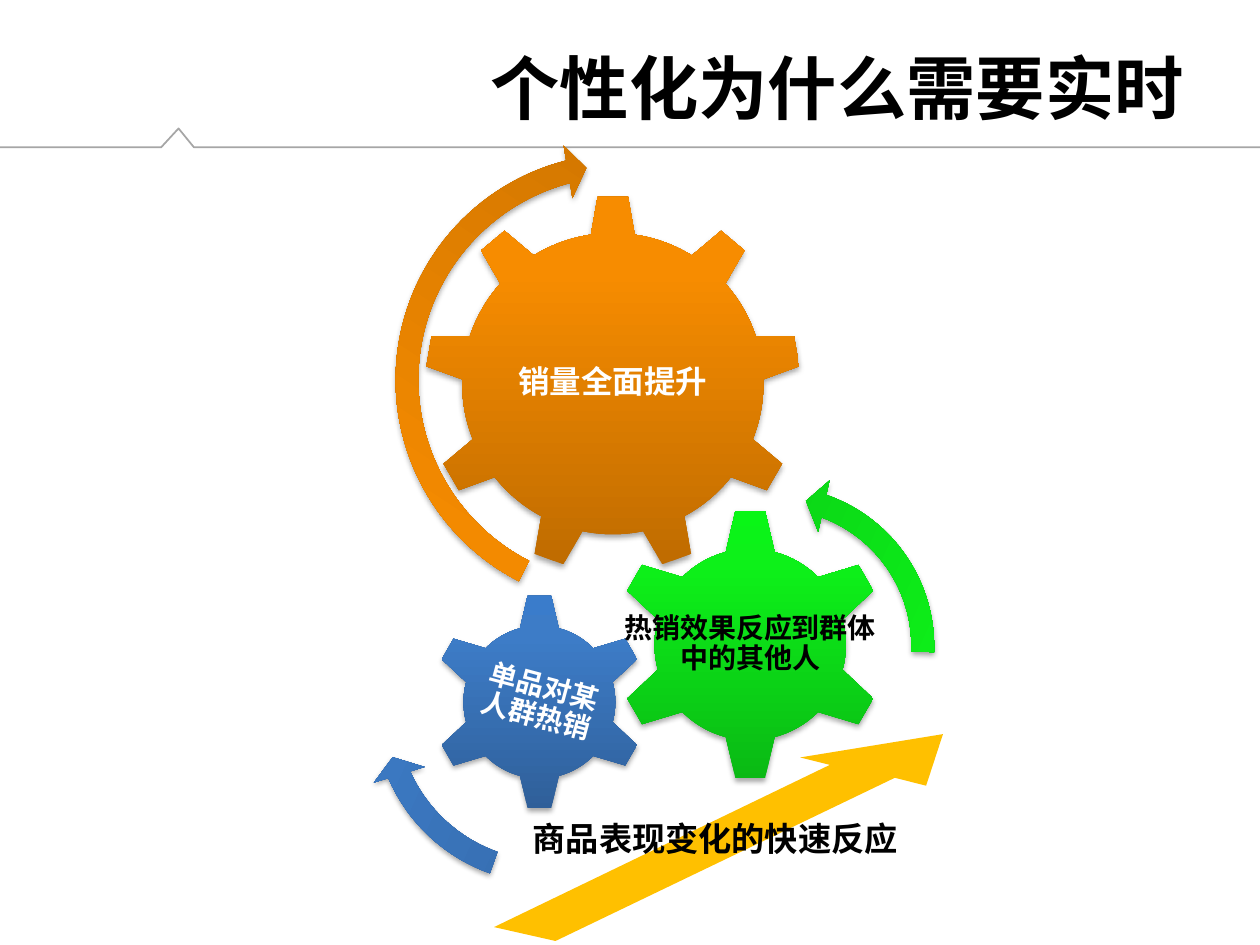
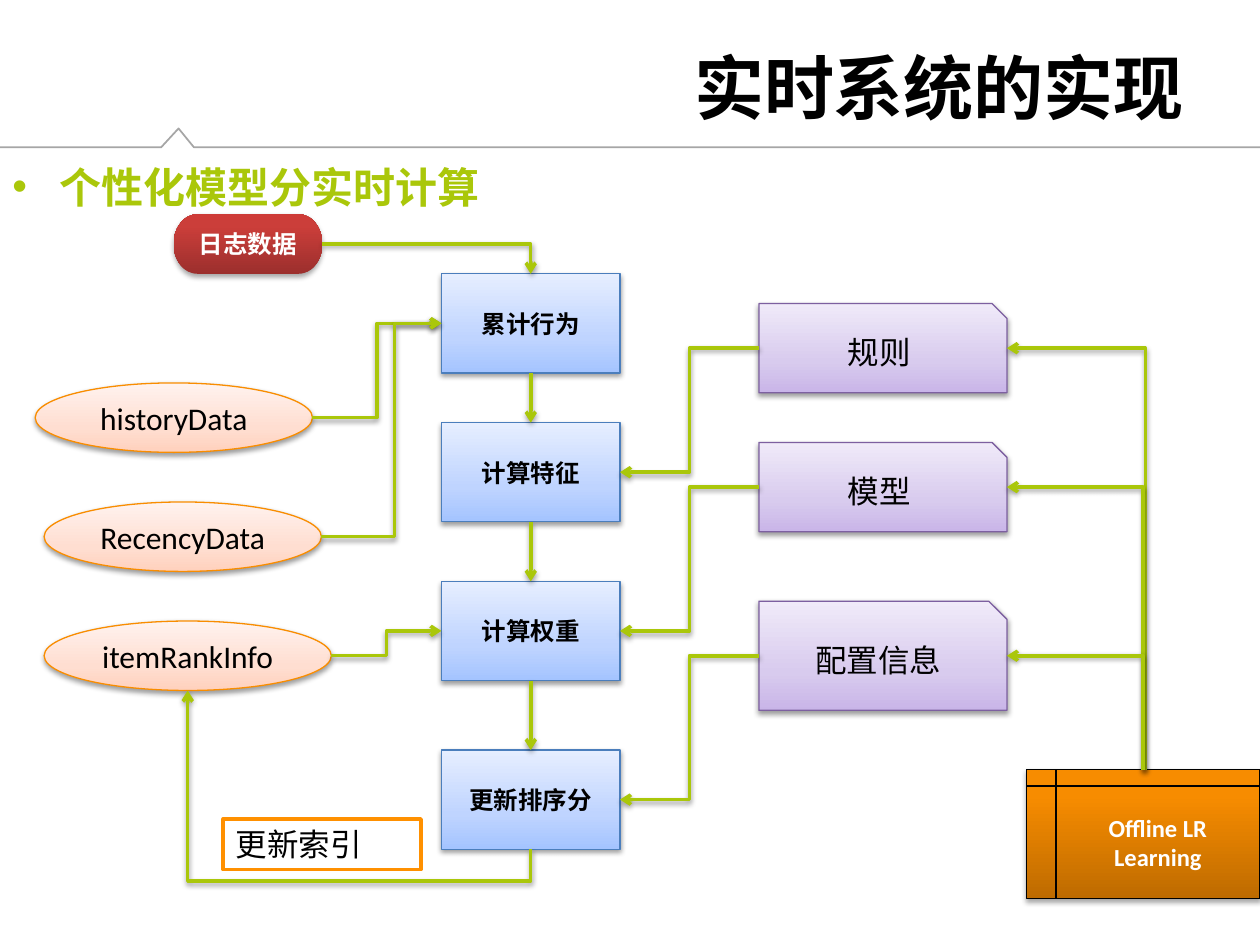
from copy import deepcopy
from dataclasses import dataclass, field
from itertools import pairwise

from lxml import etree
from pptx import Presentation
from pptx import util as u
from pptx.dml.color import RGBColor
from pptx.enum import shapes, text
from pptx.oxml import ns

Kind = shapes.MSO_SHAPE
Align = text.PP_ALIGN


@dataclass(frozen=True)
class Finish:
    stops: tuple[tuple[float, str], ...]
    line: str | None = None
    ink: str = "000000"
    shadow: tuple[int, float] = (38, 1.6)


def vivid(dark: str, middle: str, light: str, line: str | None = None) -> Finish:
    return Finish(((0, dark), (0.8, middle), (1, light)), line, "FFFFFF", (35, 1.8))


def pastel(dark: str, middle: str, light: str, line: str) -> Finish:
    return Finish(((0, dark), (0.35, middle), (1, light)), line)


@dataclass(frozen=True)
class Theme:
    font: str = "Calibri"
    black: str = "000000"
    white: str = "FFFFFF"
    rule: str = "A6A6A6"
    accent: str = "AAC70A"
    frame: str = "FF9000"
    swoosh: str = "FFC000"
    orange: Finish = vivid("BE6B00", "F78C00", "F88C00")
    storage: Finish = vivid("BE6B00", "F78C00", "F88C00", "000000")
    green: Finish = vivid("0AB914", "0DF119", "09F616")
    blue: Finish = vivid("2F5F99", "3D7CC7", "3A7CCB")
    red: Finish = vivid("9C2F2D", "CB3E3A", "CE3B37")
    step: Finish = pastel("A4C4FF", "BFD4FF", "E6EEFF", "4B7EBC")
    data: Finish = pastel("FFD1BD", "FFDED1", "FFF2EE", "F98D00")
    source: Finish = pastel("C9B5E8", "D8CBEE", "F0EAF9", "7D60A0")
    heading: float = 24
    slogan: float = 19
    body: float = 18
    label: float = 16
    small: float = 14


THEME = Theme()


@dataclass(frozen=True)
class Area:
    left: float
    top: float
    width: float
    height: float

    @property
    def right(self) -> float:
        return self.left + self.width

    @property
    def middle(self) -> float:
        return self.top + self.height / 2

    @property
    def center(self) -> float:
        return self.left + self.width / 2

    @property
    def bottom(self) -> float:
        return self.top + self.height

    def lengths(self) -> list[u.Cm]:
        return [u.Cm(side) for side in (self.left, self.top, self.width, self.height)]


@dataclass(frozen=True)
class Figure:
    kind: Kind
    area: Area
    finish: Finish
    caption: str = ""
    size: float = THEME.body
    bold: bool = False
    turn: float = 0
    adjustments: tuple[float, ...] = ()


@dataclass(frozen=True)
class Label:
    caption: str
    area: Area
    size: float
    color: str = THEME.black
    bold: bool = True
    align: Align = Align.CENTER
    spacing: float = 1.0
    inset: tuple[float, float] = (0.25, 0.13)
    turn: float = 0
    bullet: bool = False
    anchor: text.MSO_ANCHOR = text.MSO_ANCHOR.MIDDLE


@dataclass(frozen=True)
class Elbow:
    begin: tuple[float, float]
    end: tuple[float, float]
    preset: str = "bentConnector3"
    bend: float = 0.5
    turn: int = 0
    arrow_at: str = "tailEnd"


def rgb(color: str) -> RGBColor:
    return RGBColor.from_string(color)


def add_element(parent, tag: str, **attributes):
    element = etree.SubElement(parent, ns.qn(tag))
    for name, value in attributes.items():
        element.set(name, str(value))
    return element


def add_shadow(effects, opacity: int, distance: float) -> None:
    shadow = add_element(effects, "a:outerShdw", blurRad=u.Pt(3.1), dist=u.Pt(distance),
                         dir=5400000, rotWithShape=0)
    color = add_element(shadow, "a:srgbClr", val=THEME.black)
    add_element(color, "a:alpha", val=opacity * 1000)


def write(frame, caption: str, size: float, color: str, bold: bool, align: Align):
    frame.word_wrap = True
    paragraph = frame.paragraphs[0]
    paragraph.text = caption
    paragraph.alignment = align
    font = paragraph.font
    font.name, font.size, font.bold = THEME.font, u.Pt(size), bold
    font.color.rgb = rgb(color)
    return paragraph


def add_label(page, label: Label) -> None:
    box = page.shapes.add_textbox(*label.area.lengths())
    box.rotation = label.turn
    frame = box.text_frame
    frame.vertical_anchor = label.anchor
    frame.margin_left = frame.margin_right = u.Cm(label.inset[0])
    frame.margin_top = frame.margin_bottom = u.Cm(label.inset[1])
    if label.bullet:
        properties = frame.paragraphs[0]._p.get_or_add_pPr()
        properties.set("marL", str(u.Cm(0.95)))
        properties.set("indent", str(u.Cm(-0.95)))
        add_element(properties, "a:buFont", typeface="Arial")
        add_element(properties, "a:buChar", char="•")
    paragraph = write(frame, label.caption, label.size, label.color, label.bold, label.align)
    paragraph.line_spacing = label.spacing


def add_figure(page, figure: Figure):
    shape = page.shapes.add_shape(figure.kind, *figure.area.lengths())
    shape.rotation = figure.turn
    for index, value in enumerate(figure.adjustments):
        shape.adjustments[index] = value
    finish = figure.finish
    shape.fill.gradient()
    shape.fill.gradient_angle = 90
    stop_list = shape._element.spPr.find(".//" + ns.qn("a:gsLst"))
    stop_list.insert(1, deepcopy(stop_list[0]))
    for stop, (position, color) in zip(shape.fill.gradient_stops, finish.stops):
        stop.position, stop.color.rgb = position, rgb(color)
    if finish.line:
        shape.line.color.rgb = rgb(finish.line)
        shape.line.width = u.Pt(0.75)
    else:
        shape.line.fill.background()
    shape.shadow.inherit = False
    add_shadow(shape._element.spPr.find(ns.qn("a:effectLst")), *finish.shadow)
    if figure.caption:
        shape.text_frame.vertical_anchor = text.MSO_ANCHOR.MIDDLE
        write(shape.text_frame, figure.caption, figure.size, finish.ink, figure.bold, Align.CENTER)
    return shape


def add_outline(page, points: list[tuple[float, float]], close: bool):
    corners = [(u.Cm(x), u.Cm(y)) for x, y in points]
    builder = page.shapes.build_freeform(*corners[0])
    builder.add_line_segments(corners[1:], close=close)
    outline = builder.convert_to_shape()
    outline.shadow.inherit = False
    return outline


def add_link(page, begin: tuple[float, float], end: tuple[float, float],
             kind=shapes.MSO_CONNECTOR.STRAIGHT, arrow_at: str = "tailEnd"):
    link = page.shapes.add_connector(kind, *(u.Cm(value) for value in (*begin, *end)))
    link.line.color.rgb = rgb(THEME.accent)
    link.line.width = u.Pt(2)
    properties = link._element.spPr
    add_element(properties.find(ns.qn("a:ln")), f"a:{arrow_at}", type="arrow")
    add_shadow(add_element(properties, "a:effectLst"), 38, 1.6)
    return link


def add_elbow(page, elbow: Elbow) -> None:
    link = add_link(page, elbow.begin, elbow.end, shapes.MSO_CONNECTOR.ELBOW, elbow.arrow_at)
    properties = link._element.spPr
    geometry = properties.find(ns.qn("a:prstGeom"))
    geometry.set("prst", elbow.preset)
    if elbow.bend != 0.5:
        guides = geometry.find(ns.qn("a:avLst"))
        add_element(guides, "a:gd", name="adj1", fmla=f"val {round(elbow.bend * 100000)}")
    if elbow.turn:
        properties.find(ns.qn("a:xfrm")).set("rot", str(elbow.turn * 60000))


def add_page(deck, title: str, size: float):
    page = deck.slides.add_slide(deck.slide_layouts[6])
    rule = add_outline(page, [(0, 2.97), (3.25, 2.97), (3.6, 2.59), (3.91, 2.97), (25.4, 2.97)], False)
    rule.fill.background()
    rule.line.color.rgb = rgb(THEME.rule)
    rule.line.width = u.Pt(1)
    add_label(page, Label(title, Area(1.3, 0.74, 22.81, 2.01), size, align=Align.RIGHT))
    return page


def build_gears(deck) -> None:
    page = add_page(deck, "个性化为什么需要实时", 39.6)
    sales = Area(8.56, 3.94, 7.59, 7.59)
    crowd = Area(12.37, 10.24, 5.51, 5.51)
    figures = [
        Figure(Kind.GEAR_9, sales, THEME.orange),
        Figure(Kind.GEAR_6, crowd, THEME.green),
        Figure(Kind.GEAR_6, Area(8.69, 11.96, 4.37, 4.39), THEME.blue),
        Figure(Kind.CIRCULAR_ARROW, Area(7.67, 2.79, 9.73, 9.73), THEME.orange, turn=213.3,
               adjustments=(0.047, 2.99, 25.32, 158.276, 0.055)),
        Figure(Kind.LEFT_CIRCULAR_ARROW, Area(12.07, 9.5, 7.06, 7.06), THEME.green, turn=114.8,
               adjustments=(0.065, 4.3, 104.891, 148.378, 0.075)),
        Figure(Kind.CIRCULAR_ARROW, Area(7.24, 10.49, 7.62, 7.62), THEME.blue, turn=294.4,
               adjustments=(0.06, 3.941, 133.138, 105.082, 0.07)),
    ]
    for figure in figures:
        add_figure(page, figure)
    swoosh = add_outline(page, [(9.96, 18.69), (16.73, 15.42), (16.13, 15.27), (19.01, 14.8),
                                (18.67, 15.84), (18.04, 15.68), (11.2, 18.97)], True)
    swoosh.fill.solid()
    swoosh.fill.fore_color.rgb = rgb(THEME.swoosh)
    swoosh.line.fill.background()
    tight = (0.05, 0.05)
    labels = [
        Label("销量全面提升", sales, THEME.body, THEME.white, spacing=0.9, inset=tight),
        Label("热销效果反应到群体中的其他人", crowd, THEME.label, spacing=0.9, inset=tight),
        Label("单品对某人群热销", Area(9.65, 12.93, 2.46, 2.46), THEME.label, THEME.white,
              spacing=0.9, inset=tight, turn=15),
        Label("商品表现变化的快速反应", Area(9.91, 15.9, 9.02, 2.11), THEME.slogan,
              spacing=0.9, inset=(0, 0.53)),
    ]
    for label in labels:
        add_label(page, label)


def build_flow(deck) -> None:
    page = add_page(deck, "实时系统的实现", 40)
    add_label(page, Label("个性化模型分实时计算", Area(0, 3.12, 25.4, 1.4), THEME.heading, THEME.accent,
                          align=Align.LEFT, bullet=True, anchor=text.MSO_ANCHOR.TOP))
    steps = [Figure(Kind.RECTANGLE, Area(8.9, top, 3.6, 2), THEME.step, name, THEME.small, True)
             for name, top in (("累计行为", 5.52), ("计算特征", 8.52),
                               ("计算权重", 11.72), ("更新排序分", 15.12))]
    stores = [Figure(Kind.OVAL, Area(left, top, width, 1.4), THEME.data, name)
              for name, left, top, width in (("historyData", 0.71, 7.72, 5.59),
                                             ("RecencyData", 0.89, 10.12, 5.59),
                                             ("itemRankInfo", 0.89, 12.52, 5.79))]
    sources = [Figure(Kind.SNIP_1_RECTANGLE, Area(15.3, top, 5, height), THEME.source, name)
               for name, top, height in (("规则", 6.12, 1.8), ("模型", 8.92, 1.8), ("配置信息", 12.12, 2.2))]
    log = Figure(Kind.FLOWCHART_TERMINATOR, Area(3.5, 4.32, 3, 1.2), THEME.red,
                 "日志数据", THEME.small, True)
    learner = Figure(Kind.FLOWCHART_INTERNAL_STORAGE, Area(20.7, 15.52, 4.7, 2.59), THEME.storage,
                     "Offline LR Learning", THEME.small, True)
    step_shapes = [add_figure(page, step) for step in steps]
    for figure in (*stores, *sources, log, learner):
        add_figure(page, figure)

    index_box = page.shapes.add_shape(Kind.RECTANGLE, *Area(4.5, 16.51, 3.99, 1.02).lengths())
    index_box.shadow.inherit = False
    index_box.fill.solid()
    index_box.fill.fore_color.rgb = rgb(THEME.white)
    index_box.line.color.rgb = rgb(THEME.frame)
    index_box.line.width = u.Pt(2)
    write(index_box.text_frame, "更新索引", THEME.body, THEME.black, False, Align.LEFT)

    for upper, lower in pairwise(step_shapes):
        link = add_link(page, (0, 0), (1, 1))
        link.begin_connect(upper, 2)
        link.end_connect(lower, 0)

    first, last, rank = steps[0].area, steps[-1].area, stores[-1].area
    elbows = [Elbow((log.area.right, log.area.middle), (first.center, first.top), "bentConnector2")]
    for source, step, trunk in zip(sources, steps[1:], (23.09, 23.04, 23.04)):
        area = source.area
        elbows.append(Elbow((area.right, area.middle), (trunk, learner.area.top),
                            "bentConnector2", arrow_at="headEnd"))
        elbows.append(Elbow((area.left, area.middle), (step.area.right, step.area.middle)))
    for store, step, bend in zip(stores, (steps[0], steps[0], steps[2]), (0.5, 0.61, 0.5)):
        elbows.append(Elbow((store.area.right, store.area.middle),
                            (step.area.left, step.area.middle), bend=bend))
    run, rise = last.center - rank.center, last.bottom - rank.bottom
    center, middle = (last.center + rank.center) / 2, (last.bottom + rank.bottom) / 2
    elbows.append(Elbow((center + rise / 2, middle - run / 2), (center - rise / 2, middle + run / 2),
                        bend=-0.2, turn=90))
    for elbow in elbows:
        add_elbow(page, elbow)


def main() -> None:
    deck = Presentation()
    deck.slide_width, deck.slide_height = u.Cm(25.4), u.Cm(19.05)
    build_gears(deck)
    build_flow(deck)
    deck.save("out.pptx")


if __name__ == "__main__":
    main()
